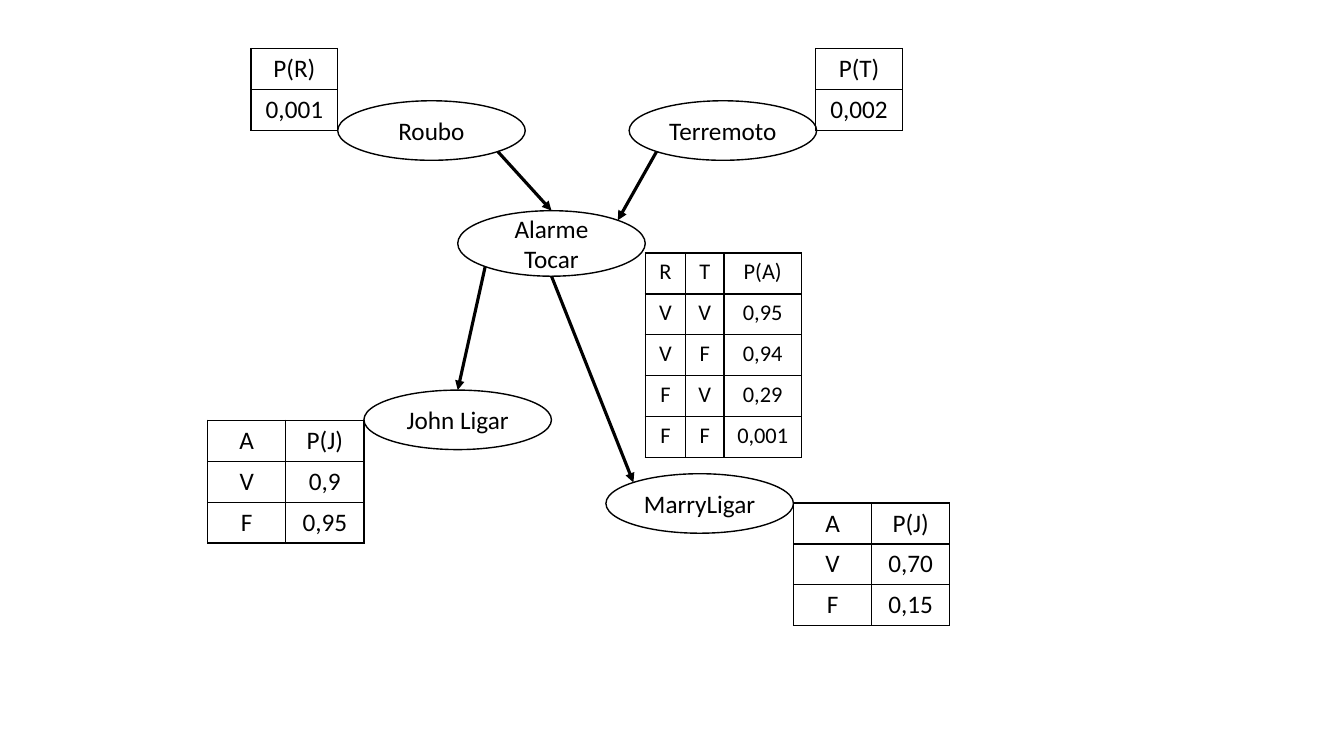
from math import cos, radians, sin

from pptx import Presentation
from pptx.dml.color import RGBColor
from pptx.enum.shapes import MSO_CONNECTOR, MSO_SHAPE
from pptx.enum.text import MSO_ANCHOR, PP_ALIGN
from pptx.oxml import parse_xml
from pptx.oxml.ns import nsdecls
from pptx.util import Inches, Pt

BLACK = RGBColor(0, 0, 0)
WHITE = RGBColor(255, 255, 255)
ROW_HEIGHT = 0.406
NODE_WIDTH = 1.86
TOP, TOP_LEFT, BOTTOM_LEFT = 270, 225, 135
BOTTOM, BOTTOM_RIGHT, TOP_RIGHT = 90, 45, 315


def write_text(frame, text, size=18, font="Calibri", color=BLACK):
    para = frame.paragraphs[0]
    para.alignment = PP_ALIGN.CENTER
    span = para.add_run()
    span.text = text
    span.font.size = Pt(size)
    span.font.name = font
    span.font.bold = False
    span.font.color.rgb = color


class NetworkPage:
    """Draws the nodes, probability tables and arrows of a Bayesian network."""

    def __init__(self, page):
        self.page = page

    def node(self, text, left, top, height=0.59):
        oval = self.page.shapes.add_shape(
            MSO_SHAPE.OVAL, Inches(left), Inches(top), Inches(NODE_WIDTH), Inches(height))
        oval.shadow.inherit = False
        oval.fill.solid()
        oval.fill.fore_color.rgb = WHITE
        oval.line.color.rgb = BLACK
        oval.line.width = Pt(1)
        oval.text_frame.word_wrap = True
        oval.text_frame.vertical_anchor = MSO_ANCHOR.MIDDLE
        write_text(oval.text_frame, text)
        return oval

    def table(self, rows, left, top, widths, size=18):
        table = self.page.shapes.add_table(
            len(rows), len(widths), Inches(left), Inches(top),
            Inches(sum(widths)), Inches(ROW_HEIGHT * len(rows))).table
        table.first_row = False
        table.horz_banding = False
        for column, width in zip(table.columns, widths):
            column.width = Inches(width)
        for row, values in zip(table.rows, rows):
            row.height = Inches(ROW_HEIGHT)
            for cell, value in zip(row.cells, values):
                write_text(cell.text_frame, value, size=size)
                self.border(cell)
                cell.fill.background()

    def border(self, cell):
        properties = cell._tc.get_or_add_tcPr()
        for side in ("lnL", "lnR", "lnT", "lnB"):
            properties.append(parse_xml(
                f'<a:{side} {nsdecls("a")} w="{Pt(1)}"><a:solidFill>'
                f'<a:srgbClr val="{BLACK}"/></a:solidFill></a:{side}>'))

    def rim_point(self, oval, angle):
        x = oval.left + oval.width / 2 * (1 + cos(radians(angle)))
        y = oval.top + oval.height / 2 * (1 + sin(radians(angle)))
        return round(x), round(y)

    def arrow(self, source, source_angle, target, target_angle):
        line = self.page.shapes.add_connector(
            MSO_CONNECTOR.STRAIGHT, *self.rim_point(source, source_angle),
            *self.rim_point(target, target_angle))
        line.line.color.rgb = BLACK
        line.line.width = Pt(2.25)
        line.line._get_or_add_ln().append(
            parse_xml(f'<a:tailEnd {nsdecls("a")} type="triangle"/>'))
        line._element.spPr.append(parse_xml(f'<a:effectLst {nsdecls("a")}/>'))


def main():
    deck = Presentation()
    deck.slide_width = Inches(13.33)
    deck.slide_height = Inches(7.5)
    network = NetworkPage(deck.slides.add_slide(deck.slide_layouts[6]))

    burglary = network.node("Roubo", 3.35, 1)
    network.table([["P(R)"], ["0,001"]], 2.49, 0.48, [0.86])
    earthquake = network.node("Terremoto", 6.24, 1)
    network.table([["P(T)"], ["0,002"]], 8.09, 0.48, [0.86])
    john = network.node("John Ligar", 3.61, 3.87)
    network.table([["A", "P(J)"], ["V", "0,9"], ["F", "0,95"]],
                  2.06, 4.17, [0.775, 0.775])
    marry = network.node("MarryLigar", 6.01, 4.7)
    network.table([["A", "P(J)"], ["V", "0,70"], ["F", "0,15"]],
                  7.87, 4.99, [0.775, 0.775])
    alarm = network.node("Alarme Tocar", 4.54, 2.09, height=0.65)
    network.table([["R", "T", "P(A)"], ["V", "V", "0,95"], ["V", "F", "0,94"],
                   ["F", "V", "0,29"], ["F", "F", "0,001"]],
                  6.4, 2.51, [0.4, 0.38, 0.77], size=16)

    network.arrow(alarm, BOTTOM_LEFT, john, TOP)
    network.arrow(alarm, BOTTOM, marry, TOP_LEFT)
    network.arrow(earthquake, BOTTOM_LEFT, alarm, TOP_RIGHT)
    network.arrow(burglary, BOTTOM_RIGHT, alarm, TOP)
    deck.save("out.pptx")


if __name__ == "__main__":
    main()
